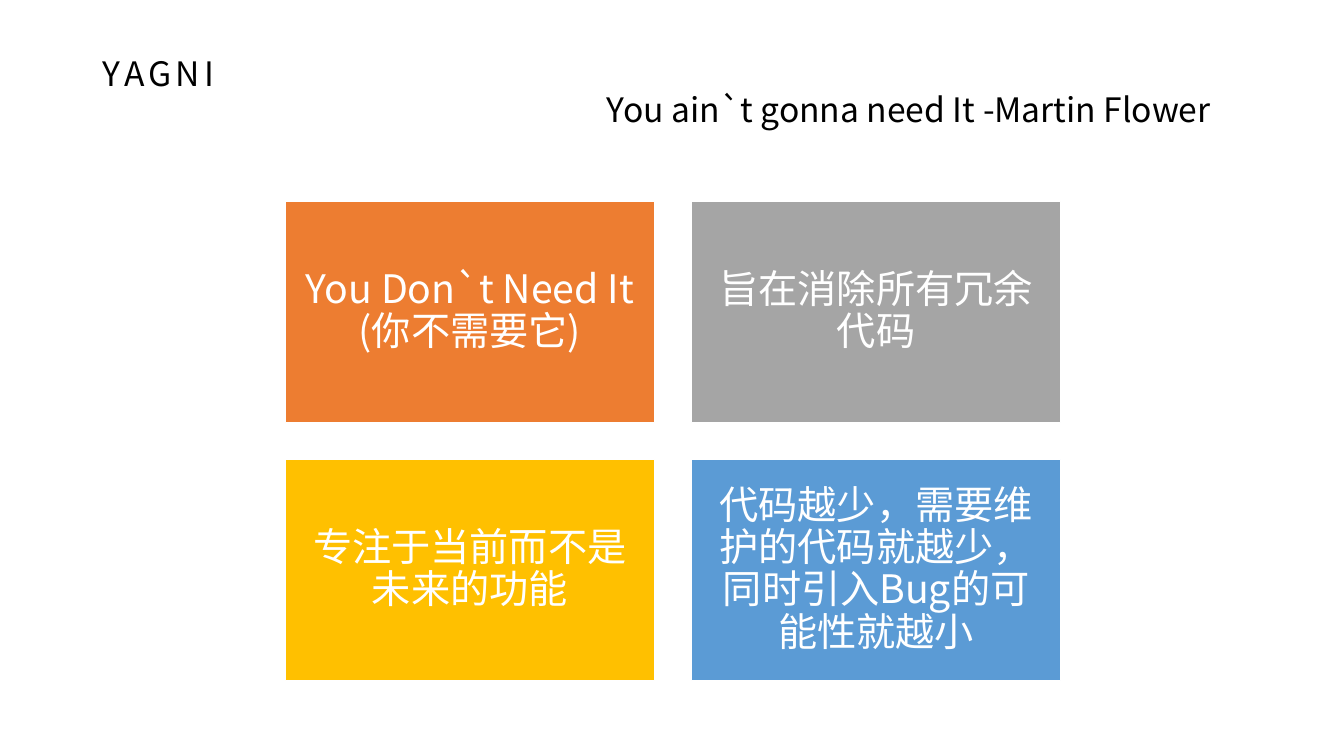
from pptx import Presentation
from pptx.dml.color import RGBColor
from pptx.enum.shapes import MSO_SHAPE
from pptx.enum.text import MSO_ANCHOR, PP_ALIGN
from pptx.oxml.ns import qn
from pptx.util import Inches, Pt
from lxml.etree import SubElement

FONT = "Noto Sans CJK SC"
COLORS = {
    "black": "000000",
    "white": "FFFFFF",
    "orange": "ED7D31",
    "gray": "A5A5A5",
    "gold": "FFC000",
    "blue": "5B9BD5",
}
PRINCIPLES = [
    ("You Don`t Need It (你不需要它)", "orange"),
    ("旨在消除所有冗余代码", "gray"),
    ("专注于当前而不是未来的功能", "gold"),
    ("代码越少，需要维护的代码就越少，同时引入Bug的可能性就越小", "blue"),
]
CARD_WIDTH, CARD_HEIGHT, GAP = 3.66, 2.19, 0.37
GRID_LEFT, GRID_TOP, COLUMNS = 2.83, 2, 2


def rgb(name):
    return RGBColor.from_string(COLORS[name])


def write_line(paragraph, text, size, color):
    run = paragraph.add_run()
    run.text = text
    paragraph.line_spacing = 0.9
    paragraph.font.name = FONT
    paragraph.font.size = Pt(size)
    paragraph.font.color.rgb = rgb(color)
    SubElement(run._r.get_or_add_rPr(), qn("a:ea")).set("typeface", FONT)
    return run


def add_heading(slide, acronym, quote):
    heading = slide.shapes.add_textbox(Inches(0.92), Inches(0.4), Inches(11.5), Inches(1.06))
    frame = heading.text_frame
    frame.word_wrap = True
    frame.vertical_anchor = MSO_ANCHOR.MIDDLE
    acronym_run = write_line(frame.paragraphs[0], acronym, 24, "black")
    acronym_run._r.get_or_add_rPr().set("spc", "300")
    quote_line = frame.add_paragraph()
    write_line(quote_line, quote, 24, "black")
    quote_line._p.get_or_add_pPr().set("marL", str(Inches(5)))


def add_card(slide, left, top, text, color):
    card = slide.shapes.add_shape(
        MSO_SHAPE.RECTANGLE, Inches(left), Inches(top), Inches(CARD_WIDTH), Inches(CARD_HEIGHT)
    )
    card.shadow.inherit = False
    card.fill.solid()
    card.fill.fore_color.rgb = rgb(color)
    card.line.color.rgb = rgb("white")
    card.line.width = Pt(1)
    frame = card.text_frame
    frame.word_wrap = True
    frame.vertical_anchor = MSO_ANCHOR.MIDDLE
    frame.margin_left = frame.margin_right = Inches(0.12)
    frame.margin_top = frame.margin_bottom = Inches(0.12)
    frame.paragraphs[0].alignment = PP_ALIGN.CENTER
    write_line(frame.paragraphs[0], text, 28, "white")


def main():
    deck = Presentation()
    deck.slide_width = Inches(13.33)
    deck.slide_height = Inches(7.5)
    slide = deck.slides.add_slide(deck.slide_layouts[6])
    add_heading(slide, "YAGNI", "You ain`t gonna need It -Martin Flower")
    for index, (text, color) in enumerate(PRINCIPLES):
        row, column = divmod(index, COLUMNS)
        left = GRID_LEFT + column * (CARD_WIDTH + GAP)
        top = GRID_TOP + row * (CARD_HEIGHT + GAP)
        add_card(slide, left, top, text, color)
    deck.save("out.pptx")


if __name__ == "__main__":
    main()
